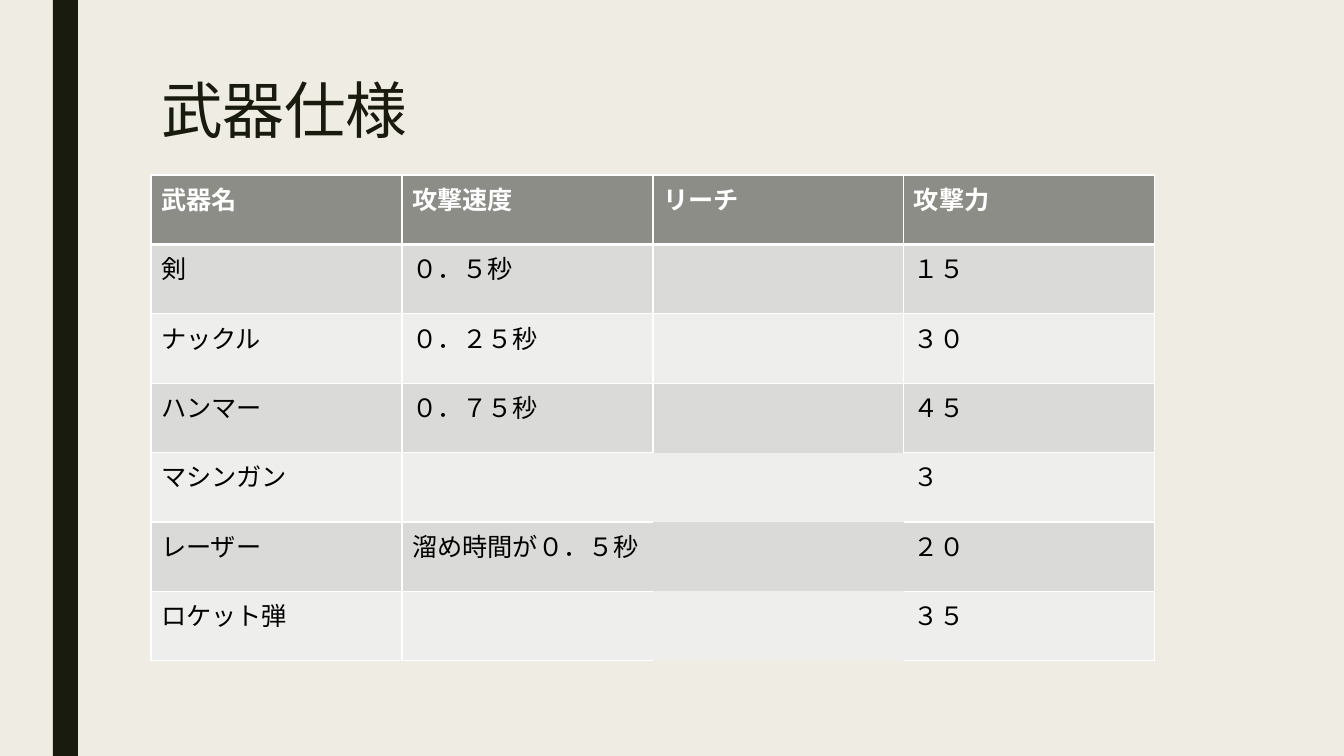
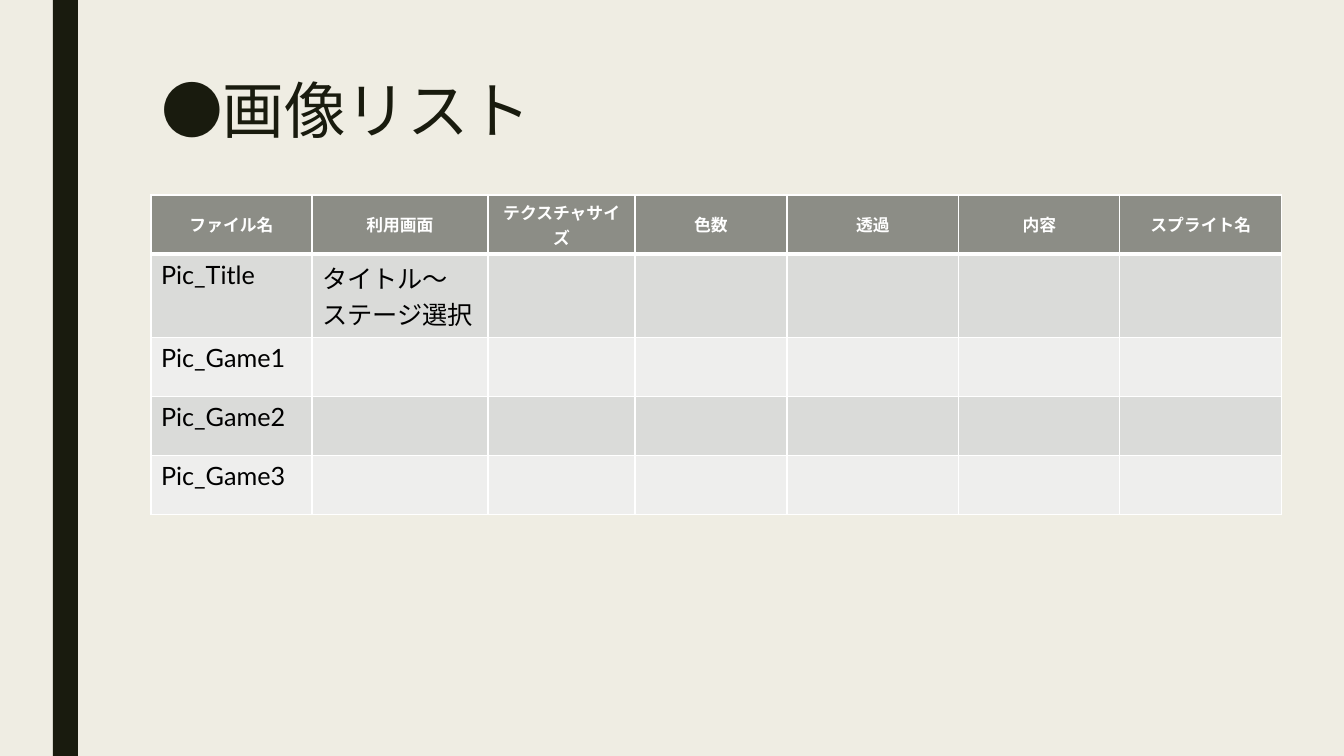
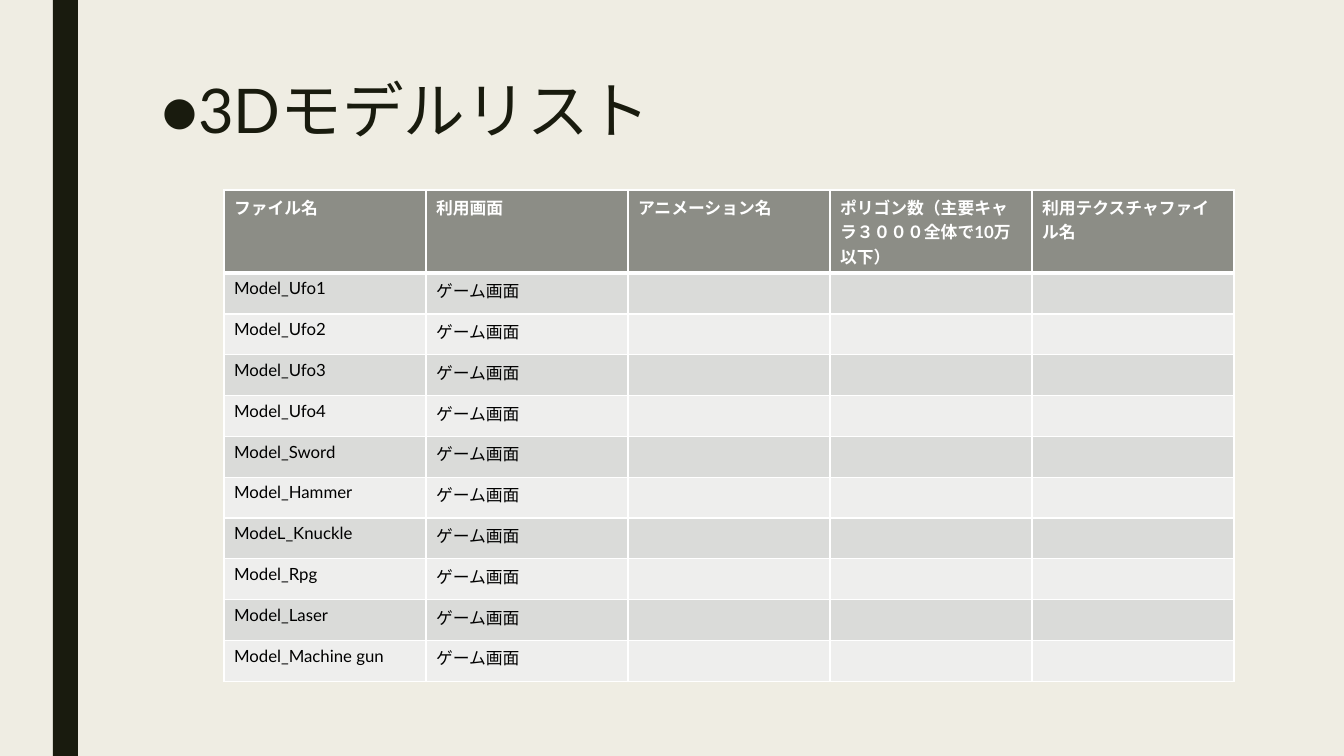
from lxml import etree
from pptx import Presentation
from pptx import util as u
from pptx.dml.color import RGBColor
from pptx.enum import lang, shapes, text
from pptx.oxml import ns

SCALE = 914400 / 100.8
FONT = "Lato"
COLORS = {
    "paper": "EFEDE3",
    "ink": "191B0E",
    "header": "8C8D86",
    "odd": "DADBD9",
    "even": "EEEEED",
    "white": "FFFFFF",
    "black": "000000",
}

WEAPONS = [
    ["武器名", "攻撃速度", "リーチ", "攻撃力"],
    ["剣", "０．５秒", "", "１５"],
    ["ナックル", "０．２５秒", "", "３０"],
    ["ハンマー", "０．７５秒", "", "４５"],
    ["マシンガン", "", "", "３"],
    ["レーザー", "溜め時間が０．５秒", "", "２０"],
    ["ロケット弾", "", "", "３５"],
]
IMAGES = [
    ["ファイル名", "利用画面", "テクスチャサイズ", "色数", "透過", "内容", "スプライト名"],
    ["Pic_Title", "タイトル～\nステージ選択"] + [""] * 5,
    *[[f"Pic_Game{number}"] + [""] * 6 for number in (1, 2, 3)],
]
MODEL_NAMES = [
    "Model_Ufo1", "Model_Ufo2", "Model_Ufo3", "Model_Ufo4", "Model_Sword",
    "Model_Hammer", "ModeL_Knuckle", "Model_Rpg", "Model_Laser", "Model_Machine gun",
]
MODELS = [
    ["ファイル名", "利用画面", "アニメーション名",
     "ポリゴン数（主要キャラ３０００全体で10万以下）", "利用テクスチャファイル名"],
    *[[name, "ゲーム画面", "", "", ""] for name in MODEL_NAMES],
]
RANGED_REACH = {(row, 2) for row in (4, 5, 6)}


def px(length):
    """Turn pixels into EMU."""
    return u.Emu(round(length * SCALE))


def rgb(name):
    """Look up a colour of the palette."""
    return RGBColor.from_string(COLORS[name])


def style(paragraph, size, color, bold=False):
    """Set the font of a whole paragraph."""
    font = paragraph.font
    font.name, font.size, font.bold = FONT, u.Pt(size), bold
    font.color.rgb = rgb(color)
    font.language_id = lang.MSO_LANGUAGE_ID.JAPANESE


def add_titled_slide(prs, heading, title_height):
    """Add a slide with the dark side band and its title."""
    slide = prs.slides.add_slide(prs.slide_layouts[5])
    band = slide.shapes.add_shape(
        shapes.MSO_SHAPE.RECTANGLE, px(53), 0, px(25), prs.slide_height)
    band.shadow.inherit = False
    band.fill.solid()
    band.fill.fore_color.rgb = rgb("ink")
    band.line.fill.background()

    title = slide.shapes.title
    title.left, title.top = px(151), px(76)
    title.width, title.height = px(1058), px(title_height)
    frame = title.text_frame
    frame.text = heading
    frame.word_wrap = True
    frame.auto_size = text.MSO_AUTO_SIZE.NONE
    frame.vertical_anchor = text.MSO_ANCHOR.TOP
    paragraph = frame.paragraphs[0]
    paragraph.alignment = text.PP_ALIGN.LEFT
    paragraph.line_spacing = 0.89
    style(paragraph, 44, "ink")
    return slide


def set_border(cell, side, points):
    """Draw one white cell edge, or none at zero points."""
    properties = cell._tc.get_or_add_tcPr()
    edge = etree.SubElement(properties, ns.qn(f"a:ln{side}"), w=str(u.Pt(points)))
    if points:
        fill = etree.SubElement(edge, ns.qn("a:solidFill"))
        etree.SubElement(fill, ns.qn("a:srgbClr"), val=COLORS["white"])
    else:
        etree.SubElement(edge, ns.qn("a:noFill"))


def set_borders(cell, row, column, open_cells):
    """Rule a cell, with a thick line under the header and open cells bare."""
    neighbours = {
        "L": (row, column - 1),
        "R": (row, column + 1),
        "T": (row - 1, column),
        "B": (row + 1, column),
    }
    for side, neighbour in neighbours.items():
        if open_cells & {(row, column), neighbour}:
            points = 0
        else:
            points = 3 if (row, side) in ((0, "B"), (1, "T")) else 1
        set_border(cell, side, points)


def add_grid(slide, rows, left, top, widths, height, header_size, body_size,
             centered_header=False, open_cells=frozenset()):
    """Add a banded table with equal row heights."""
    table = slide.shapes.add_table(
        len(rows), len(widths), px(left), px(top), px(sum(widths)), px(height)).table
    for column, width in zip(table.columns, widths):
        column.width = px(width)
    for r, values in enumerate(rows):
        is_header = r == 0
        band = "header" if is_header else "odd" if r % 2 else "even"
        for c, value in enumerate(values):
            cell = table.cell(r, c)
            cell.text = value
            set_borders(cell, r, c, open_cells)
            cell.fill.solid()
            cell.fill.fore_color.rgb = rgb(band)
            for paragraph in cell.text_frame.paragraphs:
                if is_header:
                    style(paragraph, header_size, "white", bold=True)
                else:
                    style(paragraph, body_size, "black")
                if is_header and centered_header:
                    paragraph.alignment = text.PP_ALIGN.CENTER
                    cell.vertical_anchor = text.MSO_ANCHOR.MIDDLE


def main():
    """Build the three specification slides."""
    prs = Presentation()
    prs.slide_width, prs.slide_height = px(1344), px(756)
    backdrop = prs.slide_master.background.fill
    backdrop.solid()
    backdrop.fore_color.rgb = rgb("paper")

    weapons = add_titled_slide(prs, "武器仕様", 91)
    add_grid(weapons, WEAPONS, 151, 175, [251] * 4, 486, 18, 18,
             open_cells=RANGED_REACH)

    images = add_titled_slide(prs, "●画像リスト", 163)
    add_grid(images, IMAGES, 151, 195, [161, 176, 147, 152, 172, 161, 162], 296,
             12, 18, centered_header=True)

    models = add_titled_slide(prs, "●3Dモデルリスト", 163)
    add_grid(models, MODELS, 224, 190, [202] * 5, 449, 12, 12)

    prs.save("out.pptx")


main()
